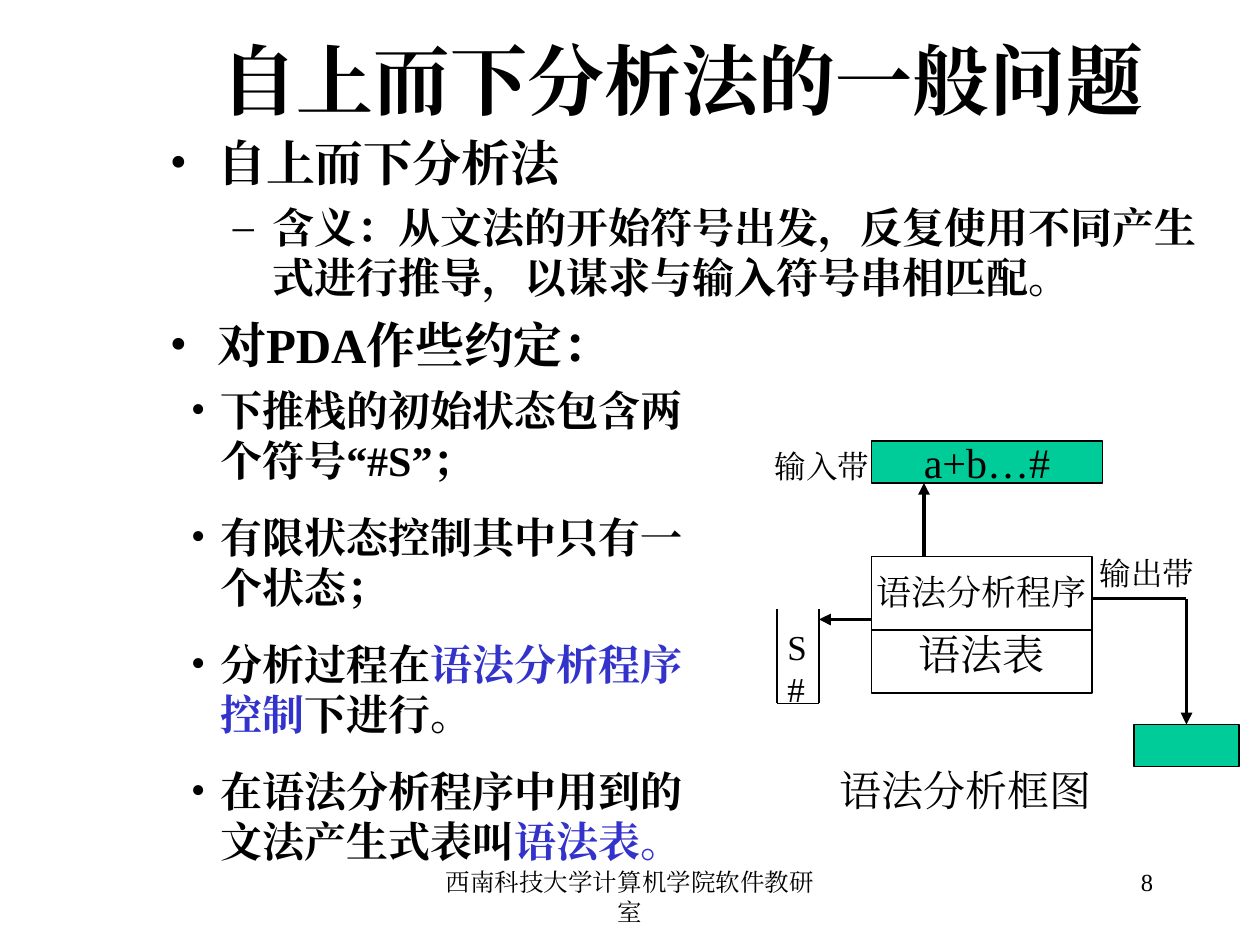
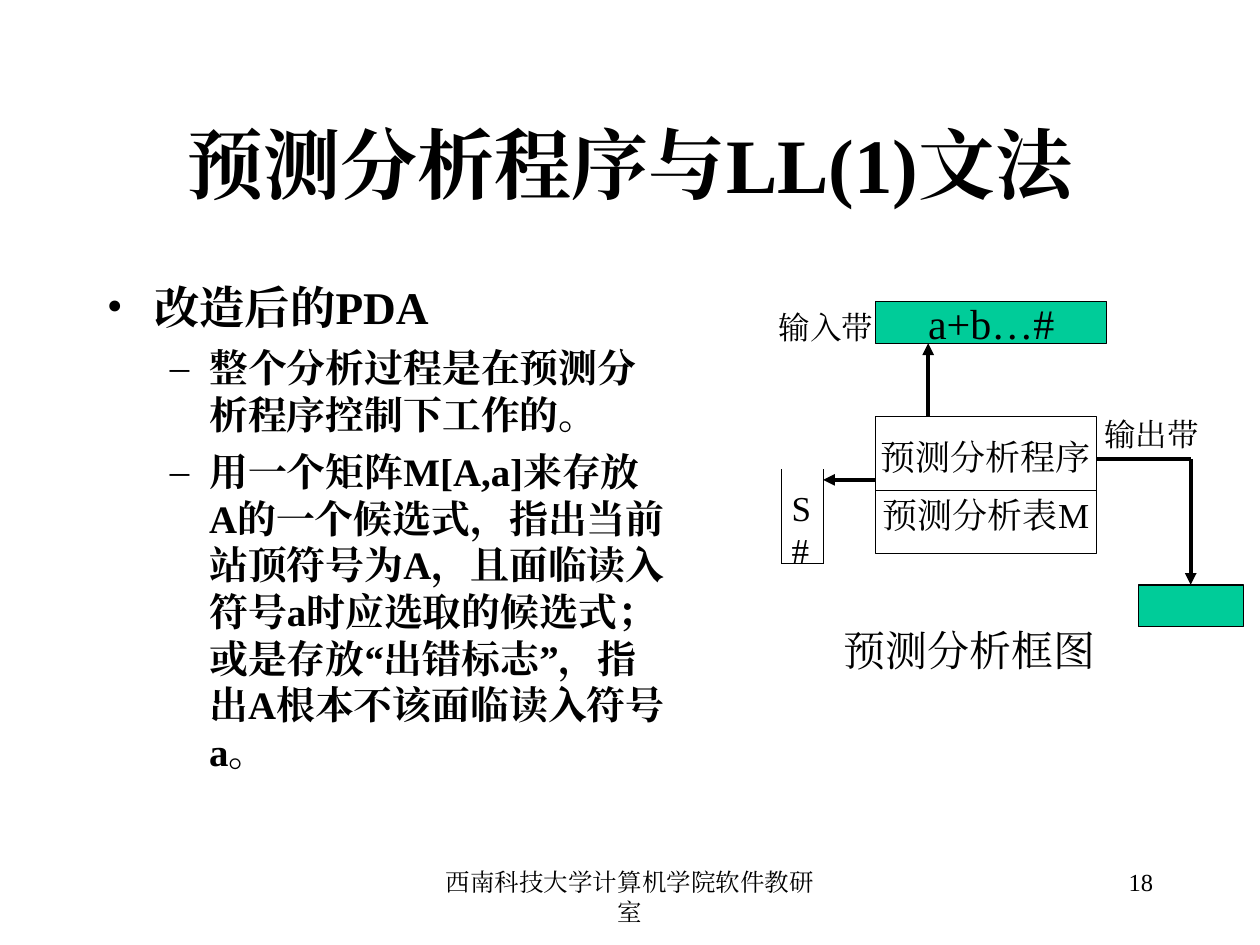
import pptx
import pptx.dml.color
import pptx.enum.shapes
import pptx.enum.text
import pptx.oxml.ns
import pptx.util
import lxml.etree

Pt = pptx.util.Pt
ALIGN = pptx.enum.text.PP_ALIGN
ANCHOR = pptx.enum.text.MSO_ANCHOR
COLORS = {"text": "000000", "accent": "3333CC", "tape": "00CC99", "line": "000000"}
FONT = "Times New Roman"
FOOTER = "西南科技大学计算机学院软件教研室"
LEVELS = {
    "main": {"bullet": "•", "margin": 27, "hang": 27, "before": 7},
    "sub": {"bullet": "–", "margin": 58.5, "hang": 22.5, "before": 6},
    "note": {"bullet": "•", "margin": 16.8, "hang": 16.8, "before": 15},
}


def color(name):
    return pptx.dml.color.RGBColor.from_string(COLORS[name])


def add_child(parent, tag, **attributes):
    return lxml.etree.SubElement(parent, pptx.oxml.ns.qn(tag), **attributes)


def set_bullet(paragraph, level):
    properties = paragraph._p.get_or_add_pPr()
    properties.set("marL", str(Pt(level["margin"])))
    properties.set("indent", str(-Pt(level["hang"])))
    bullet_color = add_child(properties, "a:buClr")
    add_child(bullet_color, "a:srgbClr", val=COLORS["text"])
    add_child(properties, "a:buFont", typeface=FONT)
    add_child(properties, "a:buChar", char=level["bullet"])


def write_paragraph(frame, text, size=24, bold=False, align=ALIGN.LEFT, level=None, before=0):
    first = not frame.paragraphs[0].runs
    paragraph = frame.paragraphs[0] if first else frame.add_paragraph()
    paragraph.alignment = align
    if level:
        set_bullet(paragraph, LEVELS[level])
        before = LEVELS[level]["before"]
    if not first:
        paragraph.space_before = Pt(before)
    parts = [(text, "text")] if isinstance(text, str) else text
    for words, color_name in parts:
        run = paragraph.add_run()
        run.text = words
        run.font.size = Pt(size)
        run.font.bold = bold
        run.font.name = FONT
        run.font.color.rgb = color(color_name)
        add_child(run._r.get_or_add_rPr(), "a:ea", typeface=FONT)


def add_text_box(slide, left, top, width, height, anchor=ANCHOR.TOP, wrap=True):
    shape = slide.shapes.add_textbox(Pt(left), Pt(top), Pt(width), Pt(height))
    shape.text_frame.word_wrap = wrap
    shape.text_frame.vertical_anchor = anchor
    return shape.text_frame


def add_rectangle(slide, left, top, width, height, fill=None):
    shape = slide.shapes.add_shape(
        pptx.enum.shapes.MSO_SHAPE.RECTANGLE, Pt(left), Pt(top), Pt(width), Pt(height))
    shape.shadow.inherit = False
    if fill:
        shape.fill.solid()
        shape.fill.fore_color.rgb = color(fill)
    else:
        shape.fill.background()
    shape.line.color.rgb = color("line")
    shape.line.width = Pt(0.75)
    shape.text_frame.word_wrap = False
    shape.text_frame.vertical_anchor = ANCHOR.MIDDLE
    return shape.text_frame


def add_line(slide, start, end, width=0.75, arrow=False):
    connector = slide.shapes.add_connector(
        pptx.enum.shapes.MSO_CONNECTOR.STRAIGHT,
        Pt(start[0]), Pt(start[1]), Pt(end[0]), Pt(end[1]))
    connector.line.color.rgb = color("line")
    connector.line.width = Pt(width)
    if arrow:
        add_child(connector.line._get_or_add_ln(), "a:tailEnd", type="triangle")
    add_child(connector._element.spPr, "a:effectLst")


def add_title(slide, left, top, text):
    frame = add_text_box(slide, left, top, 612, 90, ANCHOR.MIDDLE)
    write_paragraph(frame, text, size=44, bold=True, align=ALIGN.CENTER)


def add_bullets(slide, box, items):
    frame = add_text_box(slide, *box)
    for level, size, text in items:
        write_paragraph(frame, text, size=size, bold=True, level=level)


def add_footer(slide, number):
    for left, width, text, align in [(246, 228, FOOTER, ALIGN.CENTER),
                                     (516, 150, number, ALIGN.RIGHT)]:
        frame = add_text_box(slide, left, 492, width, 36)
        write_paragraph(frame, text, size=14, align=align)


def add_parser_diagram(slide, left, top, program, table, table_size, caption):
    def at(x, y):
        return left + x, top + y

    input_tape = add_rectangle(slide, *at(54, 0), 132, 24, "tape")
    write_paragraph(input_tape, "a+b…#", align=ALIGN.CENTER)
    add_rectangle(slide, *at(204, 162), 60, 24, "tape")

    parser = add_rectangle(slide, *at(54, 66), 126, 78)
    write_paragraph(parser, program, size=20, align=ALIGN.CENTER)
    write_paragraph(parser, table, size=table_size, align=ALIGN.CENTER, before=9.2)
    add_line(slide, at(54, 108), at(180, 108))

    stack_corners = [at(0, 96), at(0, 150), at(24, 150), at(24, 96)]
    for start, end in zip(stack_corners, stack_corners[1:]):
        add_line(slide, start, end)
    stack = add_text_box(slide, *at(-1.2, 102), 25.2, 55.4, wrap=False)
    for symbol in "S#":
        write_paragraph(stack, symbol, size=20)

    for start, end, arrow in [((54, 102), (24, 102), True), ((84, 66), (84, 24), True),
                              ((180, 90), (234, 90), False), ((234, 90), (234, 162), True)]:
        add_line(slide, at(*start), at(*end), 2.25, arrow)

    for x, y, width, height, text, size in [(-8.4, 0, 68.4, 29, "输入带", 18),
                                            (177.4, 61.2, 68.4, 29, "输出带", 18),
                                            (28.8, 181.4, 158.4, 36, caption, 24)]:
        label = add_text_box(slide, *at(x, y), width, height, wrap=False)
        write_paragraph(label, text, size=size)


def build_top_down_slide(slide):
    add_title(slide, 84, 0, "自上而下分析法的一般问题")
    add_bullets(slide, (90, 72, 612, 348), [
        ("main", 28, "自上而下分析法"),
        ("sub", 24, "含义：从文法的开始符号出发，反复使用不同产生式进行推导，以谋求与输入符号串相匹配。"),
        ("main", 28, "对PDA作些约定："),
    ])
    add_parser_diagram(slide, 444, 252, "语法分析程序", "语法表", 24, "语法分析框图")
    add_bullets(slide, (102, 216, 318, 283), [
        ("note", 24, "下推栈的初始状态包含两个符号“#S”；"),
        ("note", 24, "有限状态控制其中只有一个状态；"),
        ("note", 24, [("分析过程在", "text"), ("语法分析程序控制", "accent"), ("下进行。", "text")]),
        ("note", 24, [("在语法分析程序中用到的文法产生式表叫", "text"), ("语法表。", "accent")]),
    ])
    add_footer(slide, "8")


def build_predictive_slide(slide):
    add_title(slide, 54, 48, "预测分析程序与LL(1)文法")
    add_bullets(slide, (54, 156, 333, 324), [
        ("main", 25.9, "改造后的PDA"),
        ("sub", 22.2, "整个分析过程是在预测分析程序控制下工作的。"),
        ("sub", 22.2, "用一个矩阵M[A,a]来存放A的一个候选式，指出当前站顶符号为A，且面临读入符号a时"
                      "应选取的候选式；或是存放“出错标志”，指出A根本不该面临读入符号a。"),
    ])
    add_parser_diagram(slide, 446.4, 172.2, "预测分析程序", "预测分析表M", 20, "预测分析框图")
    add_footer(slide, "18")


def main():
    presentation = pptx.Presentation()
    presentation.slide_width = Pt(720)
    presentation.slide_height = Pt(540)
    for build in (build_top_down_slide, build_predictive_slide):
        build(presentation.slides.add_slide(presentation.slide_layouts[6]))
    presentation.save("out.pptx")


if __name__ == "__main__":
    main()
